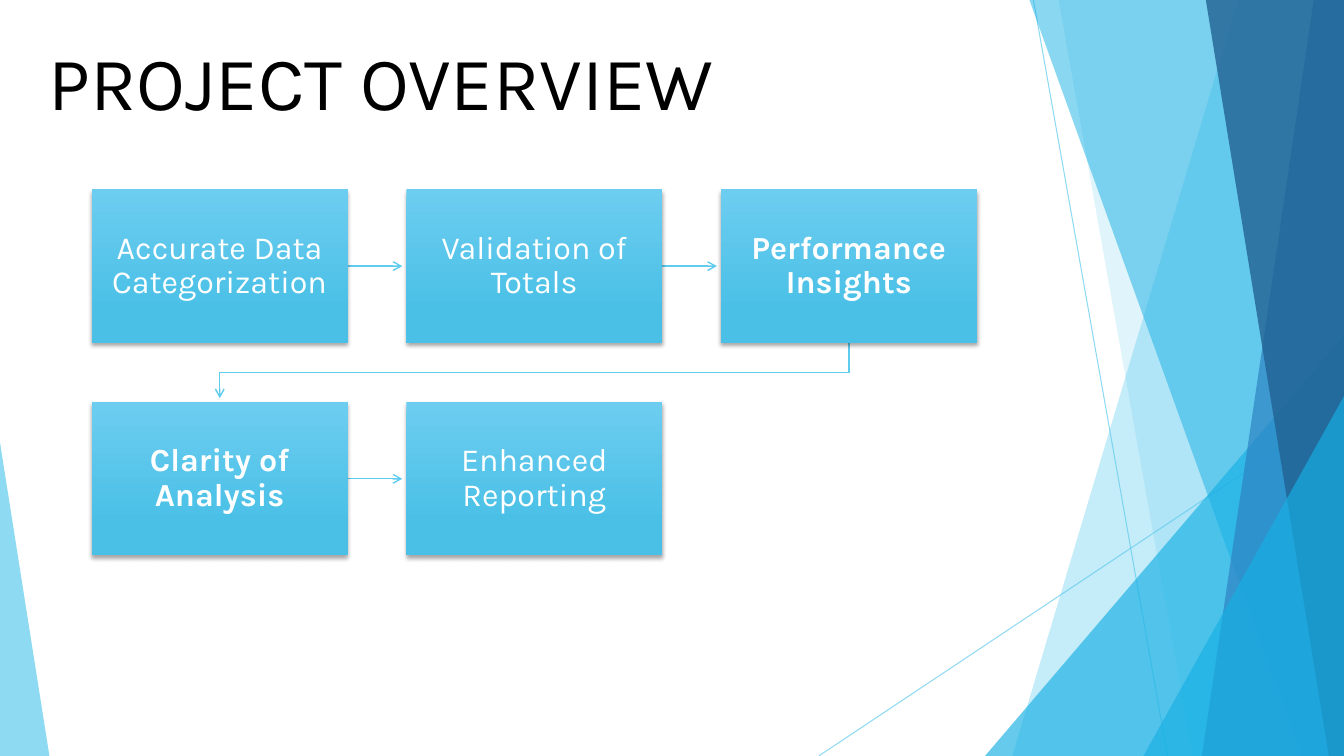
"""Build the project overview slide with its five-step process."""
import pptx
import pptx.util
import pptx.dml.color
import pptx.enum.shapes
import pptx.enum.text
import pptx.oxml
import pptx.oxml.ns

Inches = pptx.util.Inches
Pt = pptx.util.Pt
RGBColor = pptx.dml.color.RGBColor
SHAPES = pptx.enum.shapes.MSO_SHAPE
qn = pptx.oxml.ns.qn

WIDTH, HEIGHT = 13.33, 7.5
FONT = "Karla"
BLACK = RGBColor(0x00, 0x00, 0x00)
WHITE = RGBColor(0xFF, 0xFF, 0xFF)
SKY = RGBColor(0x5F, 0xCB, 0xEF)
CYAN = RGBColor(0x17, 0xB0, 0xE4)
BLUE = RGBColor(0x2E, 0x83, 0xC3)
NAVY = RGBColor(0x22, 0x62, 0x92)
BOX_TOP = RGBColor(0x6C, 0xCD, 0xF0)
BOX_BOTTOM = RGBColor(0x4B, 0xC0, 0xE6)

BOX_WIDTH, BOX_HEIGHT = 2.54, 1.52
GRID_LEFT, GRID_TOP = 0.91, 1.88
COLUMN_STEP, ROW_STEP, COLUMNS = 3.12, 2.11, 3
ARROW_GAP = 0.04
STEPS = [
    ("Accurate Data Categorization", False),
    ("Validation of Totals", False),
    ("Performance Insights", True),
    ("Clarity of Analysis", True),
    ("Enhanced Reporting", False),
]


def set_values(target, values):
    """Set each attribute of the target from a dict."""
    for name, value in values.items():
        setattr(target, name, value)


def add_xml(parent, tag, **attributes):
    """Append a DrawingML element to the parent and return it."""
    child = pptx.oxml.parse_xml(f"<a:{tag} {pptx.oxml.ns.nsdecls('a')}/>")
    for name, value in attributes.items():
        child.set(name, str(value))
    parent.append(child)
    return child


def set_opacity(shape, percent):
    """Make every colour of the shape partly transparent."""
    for color in shape.element.spPr.iter(qn("a:srgbClr")):
        add_xml(color, "alpha", val=percent * 1000)


def add_path(slide, points, close):
    """Draw a freeform through points given in inches."""
    corners = [(Inches(x), Inches(y)) for x, y in points]
    builder = slide.shapes.build_freeform(*corners[0])
    builder.add_line_segments(corners[1:], close=close)
    shape = builder.convert_to_shape()
    shape.shadow.inherit = False
    return shape


def fill_facet(shape, color, opacity):
    """Give a background facet a transparent fill and no outline."""
    shape.fill.solid()
    shape.fill.fore_color.rgb = color
    shape.line.fill.background()
    set_opacity(shape, opacity)


def add_band(slide, top_x, bottom_x, color, opacity):
    """Add a full-height facet from a slanted edge to the right side."""
    points = [(top_x, 0), (WIDTH, 0), (WIDTH, HEIGHT), (bottom_x, HEIGHT)]
    fill_facet(add_path(slide, points, True), color, opacity)


def add_corner(slide, left, top, width, apex, color, opacity):
    """Add a right triangle that stands on the bottom edge."""
    shape = slide.shapes.add_shape(
        SHAPES.ISOSCELES_TRIANGLE, Inches(left), Inches(top),
        Inches(width), Inches(HEIGHT - top))
    shape.adjustments[0] = apex
    shape.shadow.inherit = False
    fill_facet(shape, color, opacity)


def add_line(slide, start, end, width):
    """Add a straight sky-blue connector."""
    connector = slide.shapes.add_connector(
        pptx.enum.shapes.MSO_CONNECTOR.STRAIGHT,
        *(Inches(value) for value in start + end))
    connector.line.color.rgb = SKY
    connector.line.width = Pt(width)
    add_xml(connector.element.spPr, "effectLst")
    return connector


def add_arrowhead(shape):
    """Put an open arrowhead at the end of a line."""
    add_xml(shape.line._get_or_add_ln(), "tailEnd", type="arrow")


def add_elbow(slide, start, end):
    """Add an arrow that goes down, across and down again."""
    middle = (GRID_TOP + BOX_HEIGHT + GRID_TOP + ROW_STEP) / 2
    points = [start, (start[0], middle), (end[0], middle), end]
    shape = add_path(slide, points, False)
    shape.fill.background()
    shape.line.color.rgb = SKY
    shape.line.width = Pt(1)
    add_arrowhead(shape)


def write_text(shape, text, frame_format, paragraph_format, font_format):
    """Write one formatted paragraph into a shape."""
    frame = shape.text_frame
    set_values(frame, frame_format)
    paragraph = frame.paragraphs[0]
    set_values(paragraph, paragraph_format)
    run = paragraph.add_run()
    run.text = text
    color = font_format.pop("color")
    set_values(run.font, {"name": FONT, **font_format})
    run.font.color.rgb = color


def add_shadow(shape):
    """Give a shape a soft shadow below it."""
    shape.shadow.inherit = False
    effects = shape.element.spPr.find(qn("a:effectLst"))
    shadow = add_xml(effects, "outerShdw", blurRad=Pt(3), dist=Pt(2),
                     dir=5400000, algn="ctr", rotWithShape=0)
    add_xml(add_xml(shadow, "srgbClr", val=BLACK), "alpha", val=35000)


def add_step(slide, left, top, text, bold):
    """Add one gradient process box with its label."""
    box = slide.shapes.add_shape(
        SHAPES.RECTANGLE, Inches(left), Inches(top),
        Inches(BOX_WIDTH), Inches(BOX_HEIGHT))
    box.fill.gradient()
    box.fill.gradient_angle = 270
    colors = [(0, BOX_TOP), (0.78, BOX_BOTTOM)]
    for stop, (position, color) in zip(box.fill.gradient_stops, colors):
        stop.position = position
        stop.color.rgb = color
    box.line.fill.background()
    add_shadow(box)
    margins = [f"margin_{side}" for side in ("left", "top", "right", "bottom")]
    write_text(
        box, text,
        {"word_wrap": True, **dict.fromkeys(margins, Inches(0.18)),
         "vertical_anchor": pptx.enum.text.MSO_ANCHOR.MIDDLE},
        {"alignment": pptx.enum.text.PP_ALIGN.CENTER, "line_spacing": 0.9},
        {"size": Pt(23), "bold": bold, "color": WHITE})


def add_background(slide):
    """Add the translucent facets and thin lines."""
    for start, end in [((10.25, 0), (11.58, HEIGHT)),
                       ((WIDTH, 4.03), (8.12, HEIGHT))]:
        set_opacity(add_line(slide, start, end, 0.75), 70)
    add_band(slide, 12.28, 10.04, SKY, 36)
    add_band(slide, 10.5, 11.83, SKY, 20)
    add_corner(slide, 9.77, 3.33, 3.56, 1, CYAN, 66)
    add_band(slide, 10.21, 12.91, CYAN, 50)
    add_band(slide, 13.03, 11.92, BLUE, 70)
    add_band(slide, 11.96, 13.18, NAVY, 80)
    add_corner(slide, 11.34, 3.93, 1.99, 1, CYAN, 66)
    add_corner(slide, 0, 4.39, 0.49, 0, SKY, 70)


def add_title(slide, text):
    """Add the slide title."""
    title = slide.shapes.add_textbox(
        Inches(0.38), Inches(0.3), Inches(7.81), Inches(0.97))
    write_text(title, text, {"word_wrap": True}, {},
               {"size": Pt(54), "color": BLACK})


def add_process(slide):
    """Lay the steps out in rows and join each to the next."""
    places = [(GRID_LEFT + index % COLUMNS * COLUMN_STEP,
               GRID_TOP + index // COLUMNS * ROW_STEP)
              for index in range(len(STEPS))]
    for (left, top), (next_left, next_top) in zip(places, places[1:]):
        if top == next_top:
            middle = top + BOX_HEIGHT / 2
            add_arrowhead(add_line(slide, (left + BOX_WIDTH, middle),
                                   (next_left - ARROW_GAP, middle), 1))
        else:
            add_elbow(slide, (left + BOX_WIDTH / 2, top + BOX_HEIGHT),
                      (next_left + BOX_WIDTH / 2, next_top - ARROW_GAP))
    for place, step in zip(places, STEPS):
        add_step(slide, *place, *step)


def main():
    """Build and save the presentation."""
    presentation = pptx.Presentation()
    set_values(presentation, {"slide_width": Inches(WIDTH),
                              "slide_height": Inches(HEIGHT)})
    slide = presentation.slides.add_slide(presentation.slide_layouts[6])
    add_background(slide)
    add_title(slide, "PROJECT OVERVIEW")
    add_process(slide)
    presentation.save("out.pptx")


if __name__ == "__main__":
    main()
